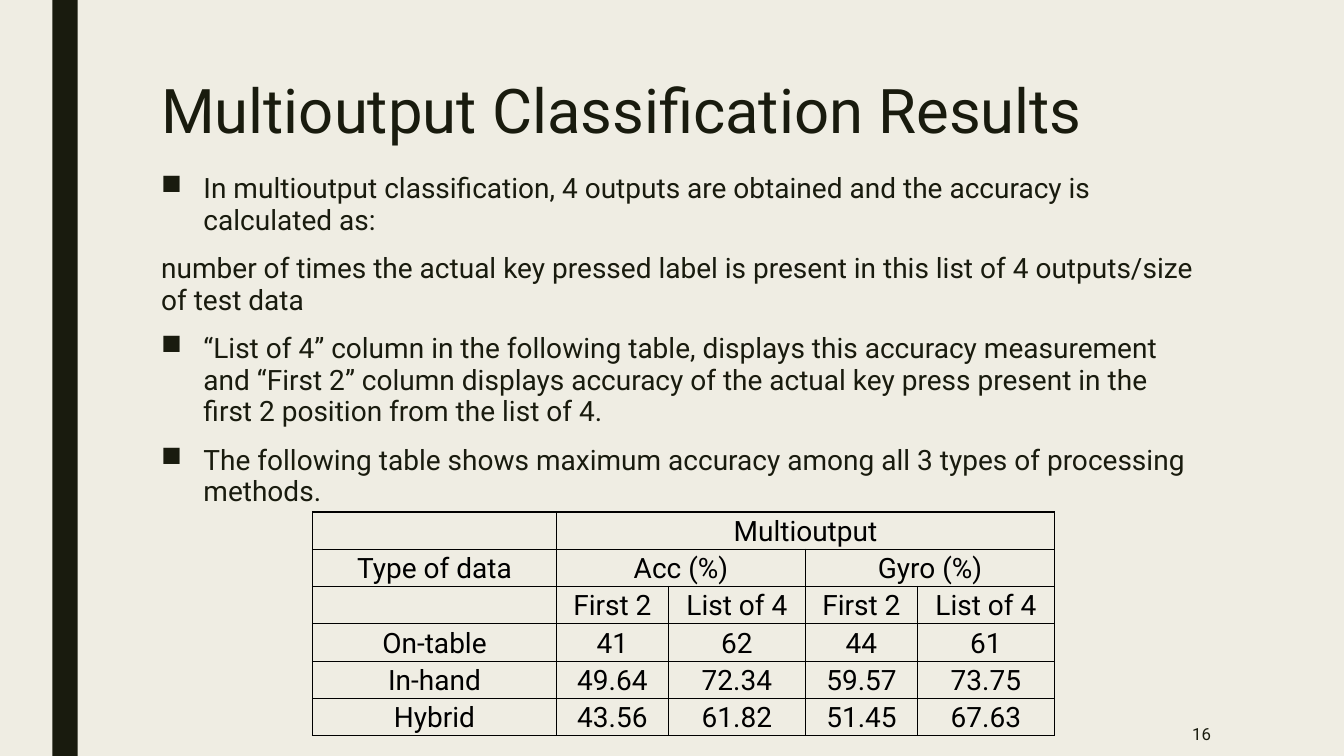
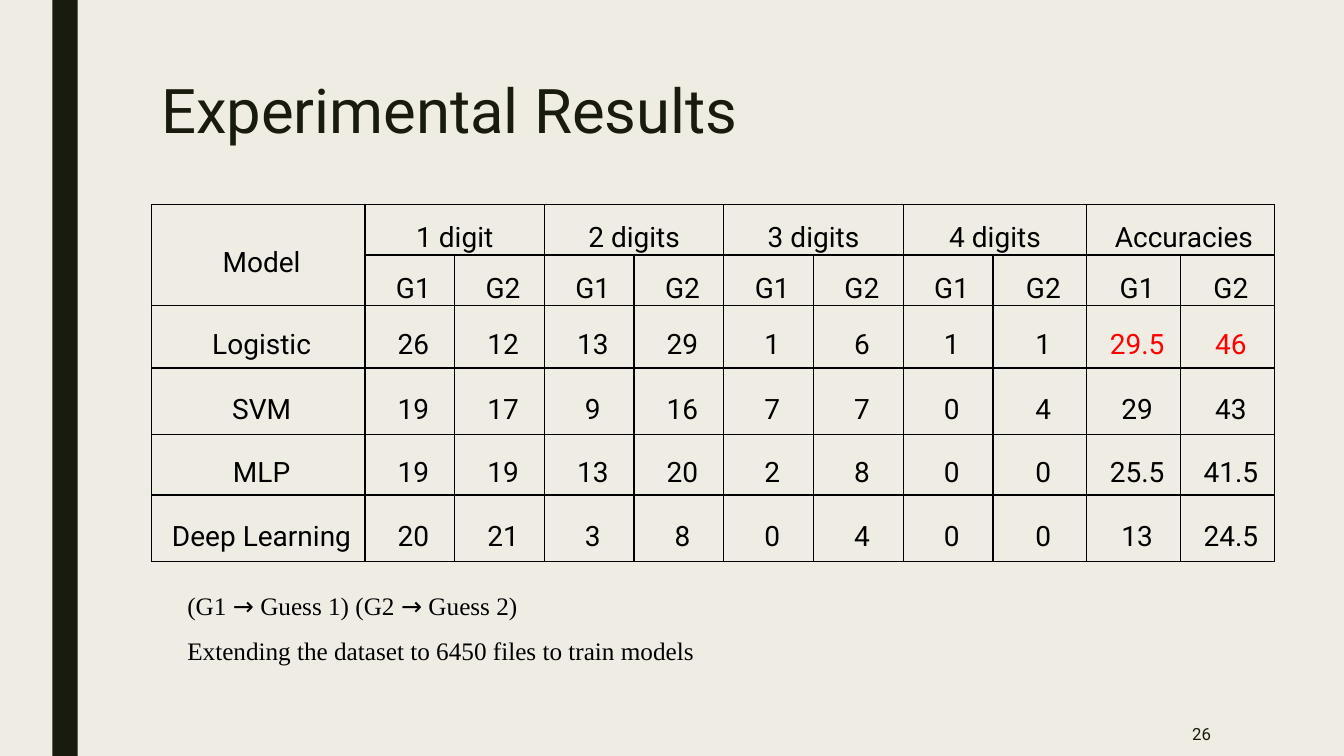
from itertools import takewhile

from lxml.etree import SubElement
from pptx import Presentation
from pptx.dml.color import RGBColor
from pptx.enum.shapes import MSO_SHAPE
from pptx.enum.text import MSO_ANCHOR, PP_ALIGN
from pptx.oxml import parse_xml
from pptx.oxml.ns import nsdecls, qn
from pptx.util import Inches, Pt

PAPER, INK, BLACK, RED = "EFEDE3", "191B0E", "000000", "FF0000"
SANS, SERIF = "Roboto", "Times New Roman"


def rgb(color):
    return RGBColor.from_string(color)


def style(r, size, color=INK, font=SANS):
    r.font.size, r.font.name = Pt(size), font
    r.font.color.rgb = rgb(color)


def indent(p, left, first=0):
    pPr = p._p.get_or_add_pPr()
    pPr.set("marL", str(Inches(left)))
    pPr.set("indent", str(Inches(first)))
    return pPr


def add_text(s, box, text="", size=12, wrap=True):
    tf = s.shapes.add_textbox(*map(Inches, box)).text_frame
    tf.word_wrap = wrap
    p = tf.paragraphs[0]
    p.text = text
    for r in p.runs:
        style(r, size)
    return tf


# Shared frame: side band, title and page number
def add_base(prs, title, number):
    s = prs.slides.add_slide(prs.slide_layouts[6])
    band = s.shapes.add_shape(MSO_SHAPE.RECTANGLE, Inches(0.52), 0,
                              Inches(0.25), prs.slide_height)
    band.shadow.inherit = False
    band.fill.solid()
    band.fill.fore_color.rgb = rgb(INK)
    band.line.fill.background()
    tf = add_text(s, (1.5, 0.75, 10.5, 1.62), title, 44)
    tf.paragraphs[0].line_spacing = 0.89
    tf = add_text(s, (10.36, 7.06, 1.75, 0.44), str(number))
    tf.vertical_anchor = MSO_ANCHOR.MIDDLE
    tf.paragraphs[0].alignment = PP_ALIGN.RIGHT
    return s


# Body text: (bulleted, text) pairs
def add_body(s, box, items):
    tf = add_text(s, box)
    for i, (bulleted, text) in enumerate(items):
        p = tf.add_paragraph() if i else tf.paragraphs[0]
        p.text = text
        p.line_spacing, p.space_before, p.space_after = 0.94, Pt(10), Pt(2)
        style(p.runs[0], 20)
        if bulleted:
            pPr = indent(p, 0.42, -0.42)
            SubElement(pPr, qn("a:buChar")).set("char", "■")


def add_borders(cell):
    tcPr = cell._tc.get_or_add_tcPr()
    for i, side in enumerate("LRTB"):
        tcPr.insert(i, parse_xml(
            f'<a:ln{side} {nsdecls("a")} w="12700"><a:solidFill>'
            f'<a:srgbClr val="{BLACK}"/></a:solidFill></a:ln{side}>'))


# Grid table: None continues the cell to the left or above
def add_grid(s, left, top, cols, heights, rows, format_paragraph, red=()):
    table = s.shapes.add_table(len(rows), len(cols), Inches(left), Inches(top),
                               Inches(sum(cols)), Inches(sum(heights))).table
    table.first_row = table.horz_banding = False
    for column, width in zip(table.columns, cols):
        column.width = Inches(width)
    for row, height in zip(table.rows, heights):
        row.height = Inches(height)
    for i, row in enumerate(rows):
        for j, text in enumerate(row):
            cell = table.cell(i, j)
            cell.margin_left = cell.margin_right = Inches(0.07)
            cell.margin_top = cell.margin_bottom = 0
            cell.vertical_anchor = MSO_ANCHOR.MIDDLE
            add_borders(cell)
            cell.fill.background()
            if not text:
                continue
            p = cell.text_frame.paragraphs[0]
            p.text = text
            p.alignment = PP_ALIGN.CENTER
            format_paragraph(p)
            style(p.runs[0], 20, RED if (i, j) in red else BLACK)
            across = takewhile(lambda t: t is None, row[j + 1:])
            down = takewhile(lambda r: r[j] is None, rows[i + 1:])
            end = i + len(list(down)), j + len(list(across))
            if end != (i, j):
                cell.merge(table.cell(*end))


def compact(p):
    p.line_spacing, p.space_after = 1.07, Pt(6)


def airy(p):
    p.line_spacing, p.space_before = 1.5, Pt(4.2)
    indent(p, 0.07)


# Note line in serif type, arrows in sans
def add_note(s, box, parts):
    p = add_text(s, box, wrap=False).paragraphs[0]
    for text in parts:
        r = p.add_run()
        r.text = text
        style(r, 18, BLACK, SANS if text == "→" else SERIF)


def multioutput_slide(prs):
    s = add_base(prs, "Multioutput Classification Results", 16)
    rows = [
        ["", "Multioutput", None, None, None],
        ["Type of data", "Acc (%)", None, "Gyro (%)", None],
        [""] + ["First 2", "List of 4"] * 2,
        ["On-table", "41", "62", "44", "61"],
        ["In-hand", "49.64", "72.34", "59.57", "73.75"],
        ["Hybrid", "43.56", "61.82", "51.45", "67.63"],
    ]
    add_grid(s, 3.1, 5.08, [2.42] + [1.11, 1.36] * 2, [0.37] * 6, rows, compact)
    add_body(s, (1.5, 1.67, 10.5, 3.41), [
        (True, "In multioutput classification, 4 outputs are obtained and the "
               "accuracy is calculated as: "),
        (False, "number of times the actual key pressed label is present in "
                "this list of 4 outputs/size of test data"),
        (True, "“List of 4” column in the following table, displays this "
               "accuracy measurement and “First 2” column displays accuracy of "
               "the actual key press present in the first 2 position from the "
               "list of 4."),
        (True, "The following table shows maximum accuracy among all 3 types "
               "of processing methods."),
    ])


def experiment_slide(prs):
    s = add_base(prs, "Experimental Results", 26)
    groups = ["1 digit ", "2 digits ", "3 digits ", "4 digits ", "Accuracies"]
    results = {
        "Logistic": "26 12 13 29 1 6 1 1 29.5 46",
        "SVM": "19 17 9 16 7 7 0 4 29 43",
        "MLP": "19 19 13 20 2 8 0 0 25.5 41.5",
        "Deep Learning": "20 21 3 8 0 4 0 0 13 24.5",
    }
    rows = [["Model"] + [t for group in groups for t in (group, None)],
            [None] + ["G1", "G2"] * len(groups)]
    rows += [[model] + values.split() for model, values in results.items()]
    add_grid(s, 1.5, 2.03, [2.12] + [0.89] * 7 + [0.93] * 3,
             [0.4, 0.46, 0.62, 0.66, 0.6, 0.66], rows, airy,
             red={(2, 9), (2, 10)})
    add_note(s, (1.76, 5.81, 3.58, 0.4),
             ["(G1 ", "→", " Guess 1) (G2 ", "→", " Guess 2)"])
    add_note(s, (1.76, 6.25, 5.28, 0.4),
             ["Extending the dataset to 6450 files to train models"])


prs = Presentation()
prs.slide_width, prs.slide_height = Inches(13.33), Inches(7.5)
fill = prs.slide_master.background.fill
fill.solid()
fill.fore_color.rgb = rgb(PAPER)
multioutput_slide(prs)
experiment_slide(prs)
prs.save("out.pptx")
